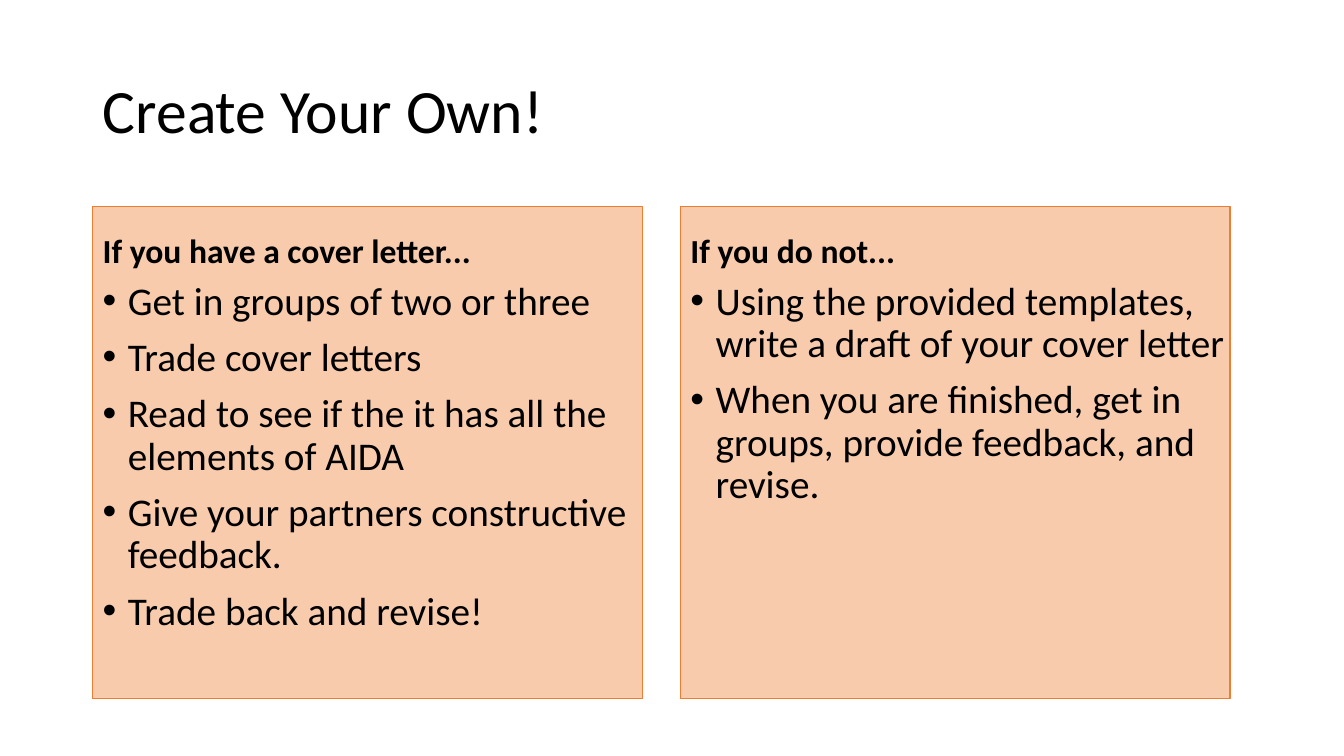
from pptx import Presentation
from pptx import util as u
from pptx.dml.color import RGBColor
from pptx.enum import shapes, text
from pptx.oxml.ns import qn
from lxml import etree

COLORS = {"text": "000000", "panel": "F8CBAD", "border": "ED7D31"}
LEFT, COL_STEP, PANEL_W = 0.92, 5.83, 5.45
PANEL_TOP, PANEL_H = 2.05, 4.88
HEAD_TOP, HEAD_H, LIST_H = 1.84, 0.9, 4.03
INDENT = u.Inches(0.25)

COLUMNS = [
    ("If you have a cover letter...", 5.64, [
        "Get in groups of two or three",
        "Trade cover letters",
        "Read to see if the it has all the elements of AIDA",
        "Give your partners constructive feedback.",
        "Trade back and revise!",
    ]),
    ("If you do not...", 5.67, [
        "Using the provided templates, write a draft of your cover letter",
        "When you are finished, get in groups, provide feedback, and revise.",
    ]),
]


def write(sp, lines, anchor, bullet=False, **font):
    """Fill a shape with one paragraph per line."""
    tf = sp.text_frame
    for name, value in {"word_wrap": True, "vertical_anchor": anchor,
                        "auto_size": text.MSO_AUTO_SIZE.NONE}.items():
        setattr(tf, name, value)
    for i, line in enumerate(lines):
        p = tf.add_paragraph() if i else tf.paragraphs[0]
        p.alignment = text.PP_ALIGN.LEFT
        p.line_spacing = 0.9
        p.space_before = u.Pt(10 if i else 0)
        if bullet:
            pPr = p._p.get_or_add_pPr()
            pPr.set("marL", str(INDENT))
            pPr.set("indent", str(-INDENT))
            etree.SubElement(pPr, qn("a:buFont")).set("typeface", "Arial")
            etree.SubElement(pPr, qn("a:buChar")).set("char", "•")
        r = p.add_run()
        r.text = line
        for name, value in {"name": "Calibri", **font}.items():
            setattr(r.font, name, value)
        r.font.color.rgb = RGBColor.from_string(COLORS["text"])


prs = Presentation()
prs.slide_width, prs.slide_height = u.Inches(13.33), u.Inches(7.5)
s = prs.slides.add_slide(prs.slide_layouts[5])

# Title
title = s.shapes.title
for name, value in {"left": LEFT, "top": 0.4, "width": 11.5, "height": 1.45}.items():
    setattr(title, name, u.Inches(value))
write(title, ["Create Your Own!"], text.MSO_ANCHOR.MIDDLE, size=u.Pt(44))

# Two columns: panel, heading, bullet list
for col, (heading, width, items) in enumerate(COLUMNS):
    x = LEFT + col * COL_STEP
    panel = s.shapes.add_shape(shapes.MSO_SHAPE.RECTANGLE, *map(
        u.Inches, (x, PANEL_TOP, PANEL_W, PANEL_H)))
    panel.shadow.inherit = False
    panel.fill.solid()
    panel.fill.fore_color.rgb = RGBColor.from_string(COLORS["panel"])
    panel.line.color.rgb = RGBColor.from_string(COLORS["border"])
    panel.line.width = u.Pt(1)

    head = s.shapes.add_textbox(*map(u.Inches, (x, HEAD_TOP, width, HEAD_H)))
    write(head, [heading], text.MSO_ANCHOR.BOTTOM, size=u.Pt(24), bold=True)

    body = s.shapes.add_textbox(*map(
        u.Inches, (x, HEAD_TOP + HEAD_H, width, LIST_H)))
    write(body, items, text.MSO_ANCHOR.TOP, bullet=True, size=u.Pt(28))

prs.save("out.pptx")
